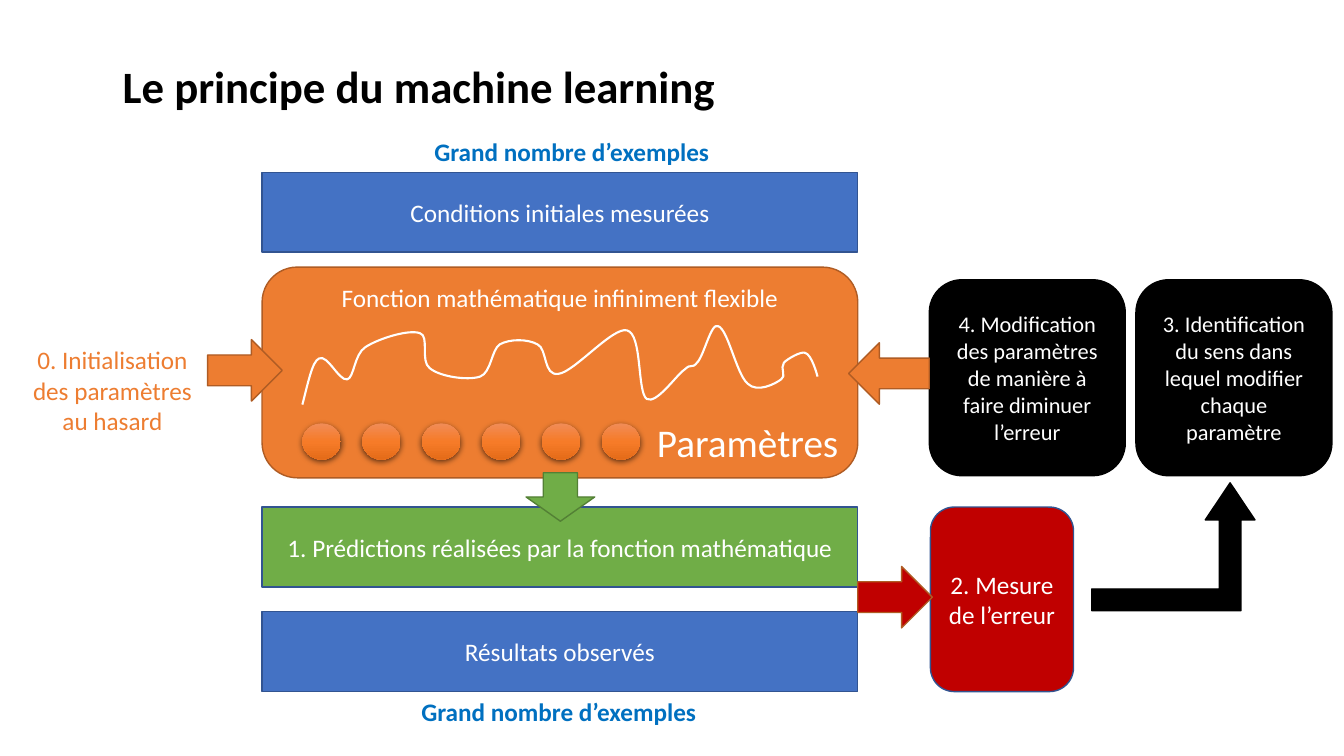
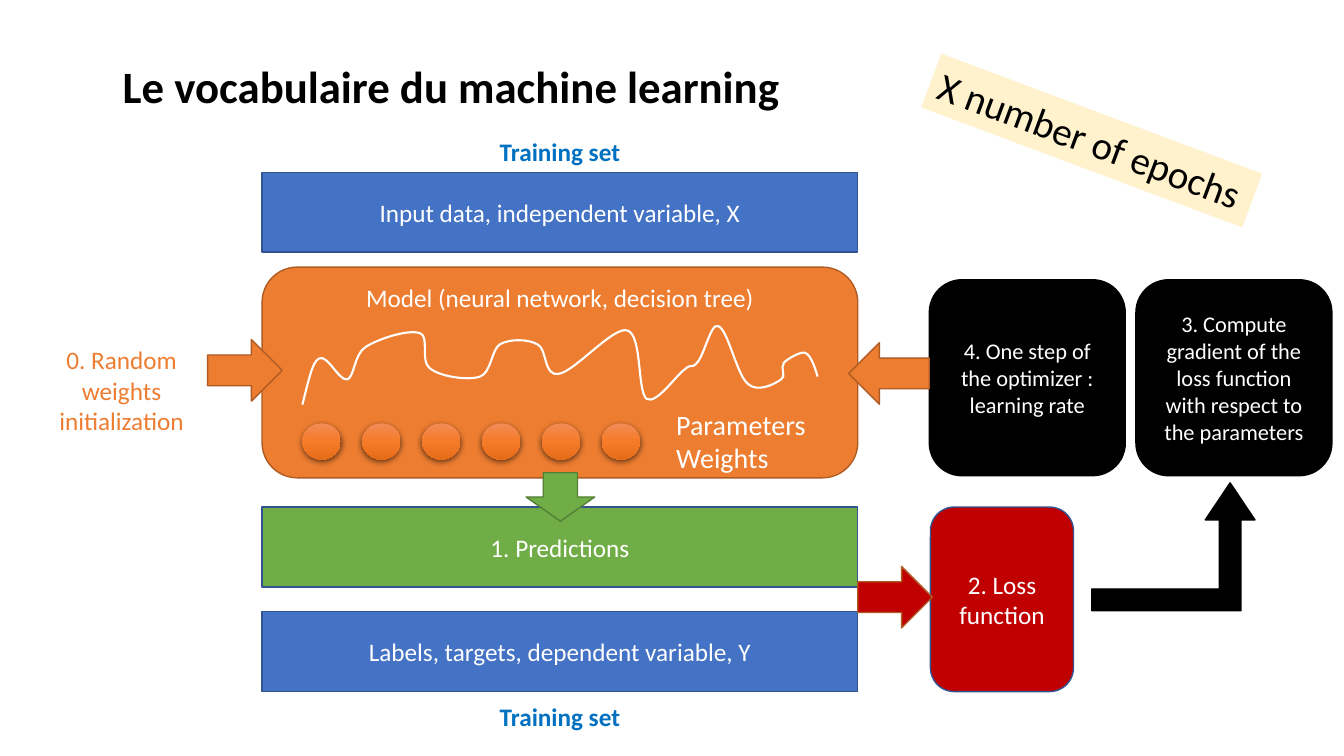
"""Build two slides that explain the machine learning loop, first in plain words, then in technical terms."""
import copy

import lxml.etree
import pptx
import pptx.dml.color
import pptx.enum.shapes
import pptx.enum.text
import pptx.oxml.ns
import pptx.util

Pt = pptx.util.Pt
qn = pptx.oxml.ns.qn
KIND = pptx.enum.shapes.MSO_SHAPE
ALIGN = pptx.enum.text.PP_ALIGN
ANCHOR = pptx.enum.text.MSO_ANCHOR

COLORS = {
    "black": "000000",
    "white": "FFFFFF",
    "blue": "4472C4",
    "navy": "325491",
    "caption": "0070C0",
    "orange": "ED7D31",
    "rust": "AF5C24",
    "green": "70AD47",
    "forest": "538035",
    "red": "C00000",
    "cream": "FFF2CC",
    "knob top": "F18C57",
    "knob middle": "F67B28",
    "knob bottom": "E56C19",
}

STYLES = {
    "title": {"size": Pt(32), "bold": True, "color": "black"},
    "caption": {"size": Pt(18), "bold": True, "color": "caption"},
    "label": {"size": Pt(18), "color": "white"},
    "step": {"size": Pt(16), "color": "white"},
    "start": {"size": Pt(18), "color": "orange"},
    "large": {"size": Pt(28), "color": "white"},
    "medium": {"size": Pt(20), "color": "white"},
    "note": {"size": Pt(28), "color": "black"},
}

LEFT, WIDTH, BAR = 187.2, 425.5, 57
STEP_TOP, STEP_SIZE = 199.8, 140

BOXES = [
    ("input", KIND.RECTANGLE, (LEFT, 123.1, WIDTH, BAR), "blue", "navy", "label"),
    ("target", KIND.RECTANGLE, (LEFT, 437, WIDTH, BAR), "blue", "navy", "label"),
    ("model", KIND.ROUNDED_RECTANGLE, (LEFT, 190.8, WIDTH, 150.5), "orange", "rust", "label"),
    ("prediction", KIND.RECTANGLE, (LEFT, 362.2, WIDTH, BAR), "green", "navy", "label"),
    ("error", KIND.ROUNDED_RECTANGLE, (664.6, 362.2, 102.2, 131.8), "red", "navy", "label"),
    ("update", KIND.ROUNDED_RECTANGLE, (663.8, STEP_TOP, STEP_SIZE, STEP_SIZE), "black", "black", "step"),
    ("direction", KIND.ROUNDED_RECTANGLE, (811.4, STEP_TOP, STEP_SIZE, STEP_SIZE), "black", "black", "step"),
]

ARROWS = [
    (KIND.RIGHT_ARROW, (148.3, 242.6, 53.3, 43.9), "orange", "rust"),
    (KIND.DOWN_ARROW, (375.8, 337.7, 49, 34.6), "green", "forest"),
    (KIND.RIGHT_ARROW, (612.7, 404.6, 53.3, 43.9), "red", "rust"),
    (KIND.LEFT_ARROW, (606.2, 244.8, 57.6, 43.9), "orange", "rust"),
    (KIND.BENT_UP_ARROW, (779.8, 344.9, 116.6, 91.4), "black", "black"),
]
BENT_ADJUSTMENTS = (0.17, 0.194, 0.29)

WAVE = [
    (216, 289),
    (220, 274), (223, 258), (228, 256),
    (234, 253), (242, 272), (248, 271),
    (253, 270), (253, 253), (261, 248),
    (270, 242), (292, 235), (300, 238),
    (307, 240), (300, 258), (307, 263),
    (314, 269), (334, 272), (343, 269),
    (351, 266), (351, 250), (357, 246),
    (364, 242), (377, 242), (384, 246),
    (391, 249), (388, 269), (399, 267),
    (410, 266), (438, 233), (448, 236),
    (459, 239), (455, 280), (462, 285),
    (469, 289), (483, 268), (489, 264),
    (494, 259), (494, 264), (498, 259),
    (503, 254), (508, 230), (513, 233),
    (520, 235), (526, 267), (534, 274),
    (541, 281), (554, 274), (558, 271),
    (562, 269), (557, 263), (560, 259),
    (563, 256), (572, 251), (575, 252),
    (580, 253), (584, 269), (584, 269),
]

KNOB_COUNT, KNOB_PITCH = 6, 42.75
KNOB_STOPS = [(0, "knob top"), (0.5, "knob middle"), (1, "knob bottom")]

SLIDES = [
    {
        "boxes": {
            "input": "Conditions initiales mesurées",
            "target": "Résultats observés",
            "model": "Fonction mathématique infiniment flexible",
            "prediction": "1. Prédictions réalisées par la fonction mathématique",
            "error": "2. Mesure de l’erreur",
            "update": "4. Modification des paramètres de manière à faire diminuer l’erreur",
            "direction": "3. Identification du sens dans lequel modifier chaque paramètre",
        },
        "texts": [
            ("Le principe du machine learning", (80.6, 38.2, 441.4, 46.1), "title"),
            ("Grand nombre d’exemples", (303.1, 93.6, 212.4, 28.8), "caption"),
            ("Grand nombre d’exemples", (293.8, 493.9, 212.4, 28.8), "caption"),
            ("Paramètres", (462.2, 295.2, 145.4, 41), "large"),
            ("0. Initialisation des paramètres au hasard", (13.7, 242.6, 133.2, 72.7), "start"),
        ],
    },
    {
        "boxes": {
            "input": "Input data, independent variable, X",
            "target": "Labels, targets, dependent variable, Y",
            "model": "Model (neural network, decision tree)",
            "prediction": "1. Predictions",
            "error": "2. Loss function",
            "update": "4. One step of the optimizer : learning rate",
            "direction": "3. Compute gradient of the loss function with respect to the parameters",
        },
        "texts": [
            ("Le vocabulaire du machine learning", (80.6, 38.2, 487.4, 46.1), "title"),
            ("Training set", (349.9, 93.6, 100.8, 28.8), "caption"),
            ("Training set", (349.9, 497.5, 100.8, 28.8), "caption"),
            ("Parameters\nWeights", (475.9, 287.3, 108, 55.4), "medium"),
            ("0. Random weights initialization", (20.2, 242.6, 133.2, 72.7), "start"),
            ("X number of epochs", (657.4, 79.9, 244.8, 41), "note"),
        ],
    },
]


def rgb(name):
    return pptx.dml.color.RGBColor.from_string(COLORS[name])


def write(box, text, style, align, anchor, wrap):
    frame = box.text_frame
    frame.text = text
    frame.word_wrap = wrap
    frame.vertical_anchor = anchor
    for para in frame.paragraphs:
        para.alignment = align
        for span in para.runs:
            span.font.name = "Calibri"
            for name, value in STYLES[style].items():
                if name == "color":
                    span.font.color.rgb = rgb(value)
                else:
                    setattr(span.font, name, value)


deck = pptx.Presentation()
deck.slide_width, deck.slide_height = Pt(960), Pt(540)

for content in SLIDES:
    page = deck.slides.add_slide(deck.slide_layouts[6])

    for key, kind, area, fill, line, style in BOXES:
        box = page.shapes.add_shape(kind, *map(Pt, area))
        box.shadow.inherit = False
        box.fill.solid()
        box.fill.fore_color.rgb = rgb(fill)
        box.line.color.rgb = rgb(line)
        box.line.width = Pt(1)
        anchor = ANCHOR.TOP if key == "model" else ANCHOR.MIDDLE
        write(box, content["boxes"][key], style, ALIGN.CENTER, anchor, True)

    points = [(Pt(x), Pt(y)) for x, y in WAVE]
    builder = page.shapes.build_freeform(*points[0])
    builder.add_line_segments(points[1:], close=False)
    wave = builder.convert_to_shape()
    wave.shadow.inherit = False
    wave.fill.background()
    wave.line.color.rgb = rgb("white")
    wave.line.width = Pt(1.5)
    outline = wave._element.find(".//" + qn("a:path"))
    segments = outline.findall(qn("a:lnTo"))
    for start in range(0, len(segments), 3):
        curve = lxml.etree.SubElement(outline, qn("a:cubicBezTo"))
        for segment in segments[start:start + 3]:
            curve.append(segment[0])
            outline.remove(segment)

    for index in range(KNOB_COUNT):
        knob = page.shapes.add_shape(
            KIND.OVAL, Pt(216 + index * KNOB_PITCH), Pt(302.4), Pt(27.4), Pt(25.9))
        knob.line.fill.background()
        knob.fill.gradient()
        knob.fill.gradient_angle = 270
        stops = knob._element.spPr.find(".//" + qn("a:gsLst"))
        stops.insert(1, copy.deepcopy(stops[0]))
        for stop, (position, color) in zip(knob.fill.gradient_stops, KNOB_STOPS):
            stop.position = position
            stop.color.rgb = rgb(color)
        knob.shadow.inherit = False
        effects = knob._element.spPr.find(qn("a:effectLst"))
        shadow = lxml.etree.SubElement(
            effects, qn("a:outerShdw"), blurRad=str(Pt(4.5)), dist=str(Pt(1.5)),
            dir="5400000", rotWithShape="0")
        tint = lxml.etree.SubElement(shadow, qn("a:srgbClr"), val=COLORS["black"])
        lxml.etree.SubElement(tint, qn("a:alpha"), val="63000")

    for kind, area, fill, line in ARROWS:
        arrow = page.shapes.add_shape(kind, *map(Pt, area))
        arrow.shadow.inherit = False
        arrow.fill.solid()
        arrow.fill.fore_color.rgb = rgb(fill)
        arrow.line.color.rgb = rgb(line)
        arrow.line.width = Pt(1)
        if kind == KIND.BENT_UP_ARROW:
            for index, value in enumerate(BENT_ADJUSTMENTS):
                arrow.adjustments[index] = value

    for text, area, style in content["texts"]:
        box = page.shapes.add_textbox(*map(Pt, area))
        centred = style == "start"
        write(box, text, style, ALIGN.CENTER if centred else ALIGN.LEFT, ANCHOR.TOP, centred)
        if style == "note":
            box.rotation = 20.5
            box.fill.solid()
            box.fill.fore_color.rgb = rgb("cream")

deck.save("out.pptx")
